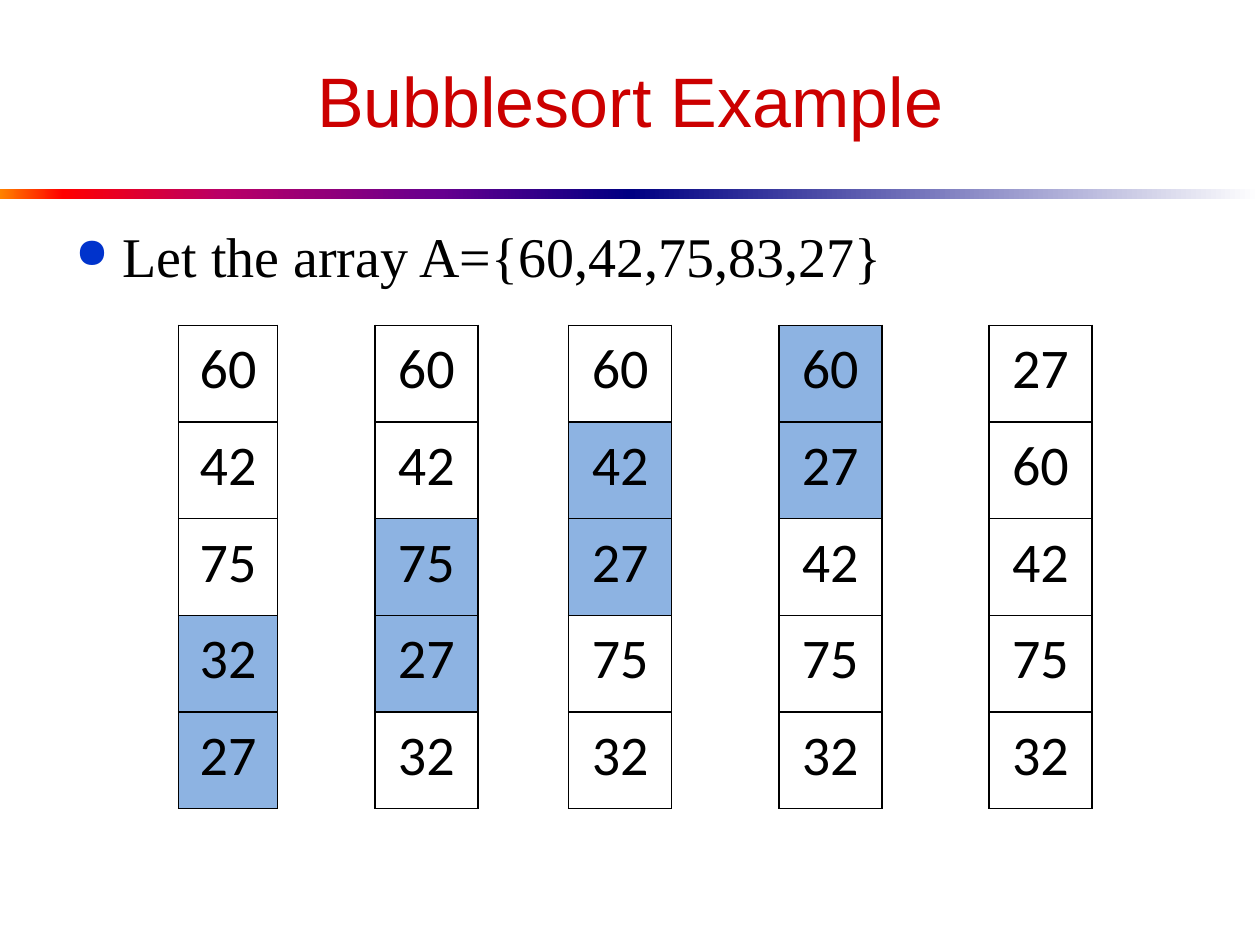
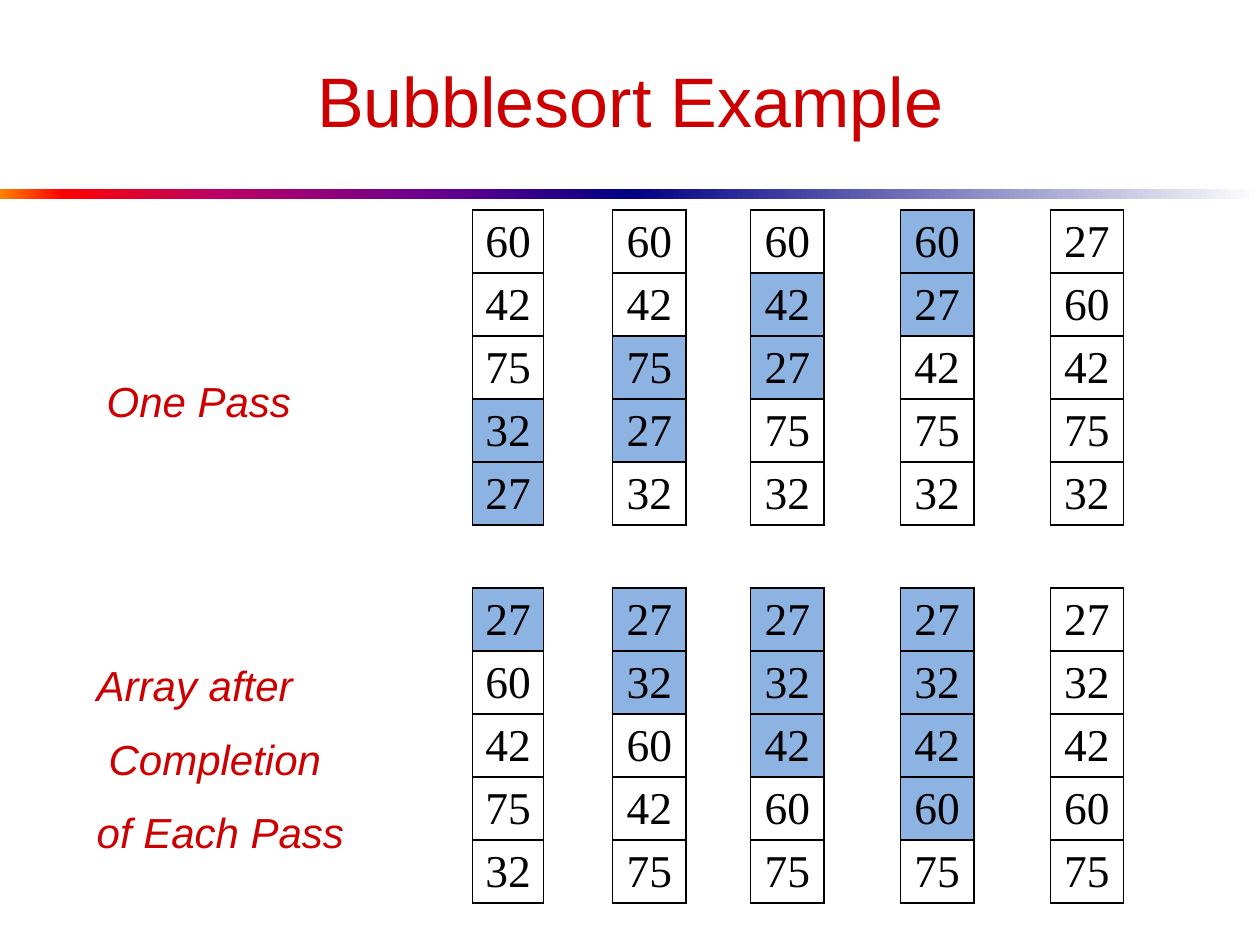
import pptx
import pptx.dml.color
import pptx.enum.shapes
import pptx.enum.text
import pptx.oxml
import pptx.oxml.ns
import pptx.util

Cm = pptx.util.Cm
Pt = pptx.util.Pt
ALIGN = pptx.enum.text.PP_ALIGN
ANCHOR = pptx.enum.text.MSO_ANCHOR

COLORS = {"red": "CC0000", "black": "000000", "bullet": "0033CC", "compared": "8DB3E2"}
TITLE = "Bubblesort Example"
ARRAY_LINE = "Let the array A={60,42,75,83,27}"
PASS_LABEL = ["One Pass"]
RESULT_LABEL = ["Array after", "Completion", "of Each Pass"]

# Each step: the array from top to bottom, and the rows that are shaded.
ONE_PASS = [
    ([60, 42, 75, 32, 27], [3, 4]),
    ([60, 42, 75, 27, 32], [2, 3]),
    ([60, 42, 27, 75, 32], [1, 2]),
    ([60, 27, 42, 75, 32], [0, 1]),
    ([27, 60, 42, 75, 32], []),
]
EACH_PASS = [
    ([27, 60, 42, 75, 32], [0]),
    ([27, 32, 60, 42, 75], [0, 1]),
    ([27, 32, 42, 60, 75], [0, 1, 2]),
    ([27, 32, 42, 60, 75], [0, 1, 2, 3]),
    ([27, 32, 42, 60, 75], []),
]
COLUMN_SHARES = [2, 1.96, 2.08, 1.83, 2.08, 2.16, 2.08, 2.16, 2.08]

BAND_TOP, BAND_HEIGHT = 3.81, 0.2
BANDS = [
    [(0, "FF8200"), (10, "FF0000"), (35, "BA0066"), (70, "66008F"), (100, "000082")],
    [(0, "000082"), (100, "FFFFFF")],
]


def write(p, text, font="Arial", size=24, color="red", italic=False,
          align=None, before=0, indent=0, hanging=0, bullet=None, spacing=None):
    pPr = p._p.get_or_add_pPr()
    if indent:
        pPr.set("marL", str(Cm(indent)))
        pPr.set("indent", str(-Cm(hanging)))
    if before:
        p.space_before = Pt(before)
    if spacing:
        p.line_spacing = spacing
    if align is not None:
        p.alignment = align
    if bullet:
        ns = pptx.oxml.ns.nsdecls("a")
        for xml in (f'<a:buClr {ns}><a:srgbClr val="{COLORS["bullet"]}"/></a:buClr>',
                    f'<a:buSzPct {ns} val="75000"/>',
                    f'<a:buChar {ns} char="{bullet}"/>'):
            pPr.append(pptx.oxml.parse_xml(xml))
    r = p.add_run()
    r.text = text
    r.font.name, r.font.size, r.font.italic = font, Pt(size), italic
    r.font.color.rgb = pptx.dml.color.RGBColor.from_string(COLORS[color])


def add_box(slide, left, top, width, height, wrap=True):
    tf = slide.shapes.add_textbox(Cm(left), Cm(top), Cm(width), Cm(height)).text_frame
    tf.word_wrap = wrap
    return tf


def add_label(slide, lines, left, top, width, height, **kw):
    tf = add_box(slide, left, top, width, height, **kw)
    for i, line in enumerate(lines):
        p = tf.add_paragraph() if i else tf.paragraphs[0]
        write(p, line, italic=True, before=13 if i else 0,
              indent=0.24 if line == "Completion" else 0)


def fill_gradient(sp, stops):
    gs = "".join(f'<a:gs pos="{pos * 1000}"><a:srgbClr val="{c}"/></a:gs>' for pos, c in stops)
    sp.fill.background()
    spPr = sp._element.spPr
    no_fill = spPr.find(pptx.oxml.ns.qn("a:noFill"))
    spPr.replace(no_fill, pptx.oxml.parse_xml(
        f'<a:gradFill {pptx.oxml.ns.nsdecls("a")} rotWithShape="1">'
        f'<a:gsLst>{gs}</a:gsLst><a:lin ang="0" scaled="1"/></a:gradFill>'))


def add_slide(prs):
    """Add a slide with the shared title and the gradient rule below it."""
    slide = prs.slides.add_slide(prs.slide_layouts[5])
    title = slide.shapes.title
    title.left, title.top, title.width, title.height = Cm(1.27), Cm(0.64), Cm(22.86), Cm(2.74)
    title.text_frame.vertical_anchor = ANCHOR.MIDDLE
    write(title.text_frame.paragraphs[0], TITLE, size=40, align=ALIGN.CENTER)
    for i, stops in enumerate(BANDS):
        sp = slide.shapes.add_shape(pptx.enum.shapes.MSO_SHAPE.RECTANGLE, Cm(12.7 * i),
                                    Cm(BAND_TOP), Cm(12.7), Cm(BAND_HEIGHT))
        sp.shadow.inherit = False
        sp.line.fill.background()
        fill_gradient(sp, stops)
    return slide


def set_borders(cell, sides):
    tcPr = cell._tc.get_or_add_tcPr()
    for i, side in enumerate("LRTB"):
        paint = (f'<a:solidFill><a:srgbClr val="{COLORS["black"]}"/></a:solidFill>'
                 if side in sides else "<a:noFill/>")
        tcPr.insert(i, pptx.oxml.parse_xml(
            f'<a:ln{side} {pptx.oxml.ns.nsdecls("a")} w="12700">{paint}</a:ln{side}>'))


def add_steps(slide, steps, left, top, width, height, font, size):
    """Draw the steps as bordered columns with open columns between them."""
    n_rows, n_cols = len(steps[0][0]), 2 * len(steps) - 1
    table = slide.shapes.add_table(n_rows, n_cols, Cm(left), Cm(top), Cm(width), Cm(height)).table
    table.first_row = table.horz_banding = False
    for col, share in zip(table.columns, COLUMN_SHARES):
        col.width = Cm(width * share / sum(COLUMN_SHARES))
    for row in range(n_rows):
        table.rows[row].height = Cm(height / n_rows)
        for col in range(n_cols):
            cell = table.cell(row, col)
            cell.margin_left = cell.margin_right = Cm(0.18)
            cell.margin_top = cell.margin_bottom = 0
            cell.fill.background()
            if col % 2:
                set_borders(cell, "LR")
                continue
            values, shaded = steps[col // 2]
            if row in shaded:
                cell.fill.solid()
                cell.fill.fore_color.rgb = pptx.dml.color.RGBColor.from_string(COLORS["compared"])
            set_borders(cell, "LRTB")
            write(cell.text_frame.paragraphs[0], str(values[row]), font=font, size=size,
                  color="black", align=ALIGN.CENTER, spacing=1.15)


def main():
    prs = pptx.Presentation()
    prs.slide_width, prs.slide_height = Cm(25.4), Cm(19.05)

    slide = add_slide(prs)
    tf = add_box(slide, 1.27, 4.35, 22.86, 1.6)
    write(tf.paragraphs[0], ARRAY_LINE, font="Times New Roman", size=32, color="black",
          indent=0.95, hanging=0.95, bullet="●")
    add_steps(slide, ONE_PASS, 3.6, 6.56, 18.42, 9.74, "Calibri", 32)

    slide = add_slide(prs)
    for steps, top in ((ONE_PASS, 4.23), (EACH_PASS, 11.85)):
        add_steps(slide, steps, 9.53, top, 13.13, 6.35, "Times New Roman", 26)
    add_label(slide, PASS_LABEL, 1.9, 7.45, 4.22, 1.27, wrap=False)
    add_label(slide, RESULT_LABEL, 1.7, 13.18, 5.6, 4.37)

    prs.save("out.pptx")


if __name__ == "__main__":
    main()
